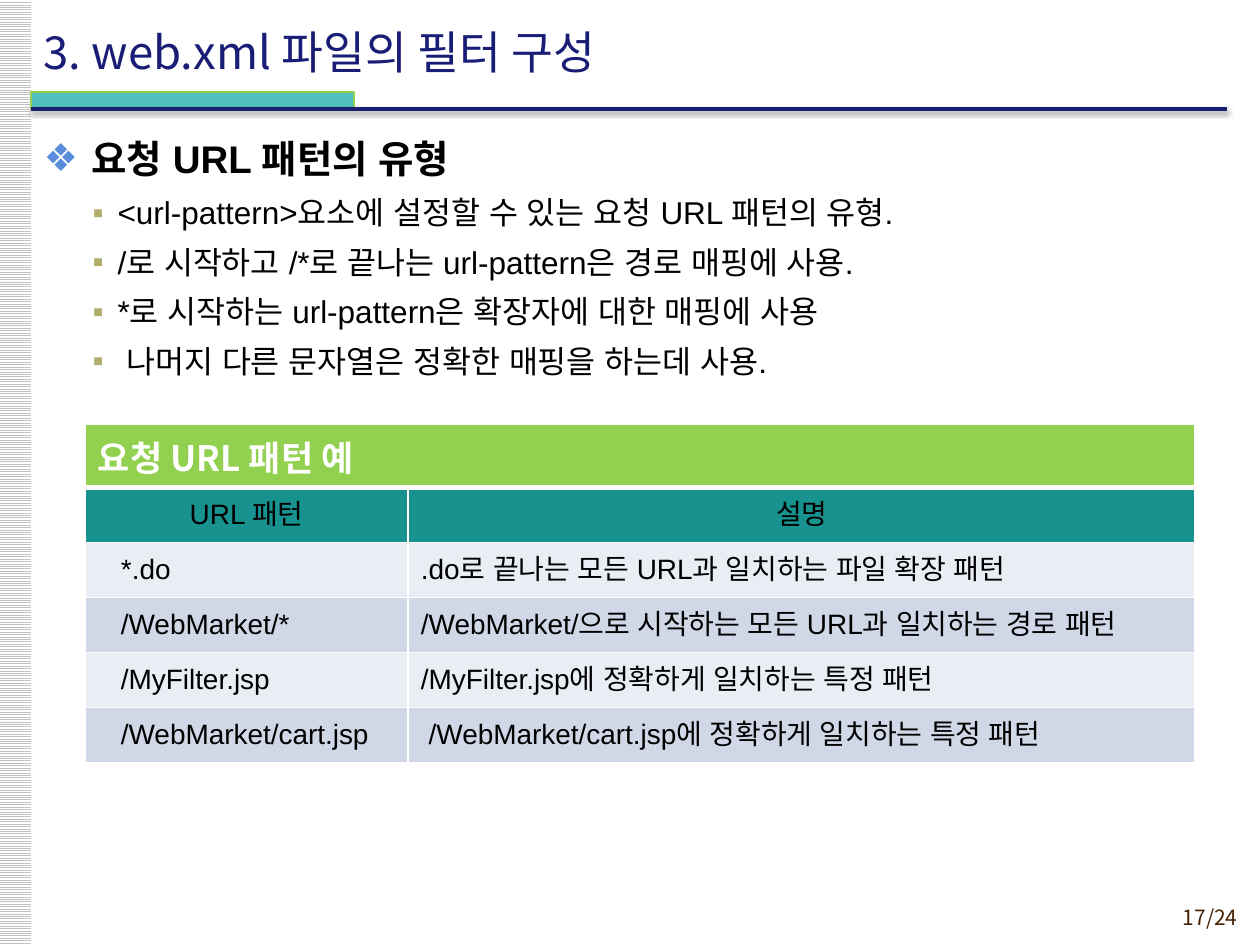
from dataclasses import dataclass

from lxml import etree
from pptx import Presentation
from pptx.dml.color import RGBColor
from pptx.enum.dml import MSO_PATTERN
from pptx.enum.shapes import MSO_CONNECTOR, MSO_SHAPE
from pptx.enum.text import MSO_ANCHOR, MSO_AUTO_SIZE, PP_ALIGN
from pptx.oxml.ns import qn
from pptx.util import Emu, Pt

STRAIGHT = MSO_CONNECTOR.STRAIGHT
RECTANGLE = MSO_SHAPE.RECTANGLE
LIGHT_HORIZONTAL = MSO_PATTERN.LIGHT_HORIZONTAL
TOP, MIDDLE = MSO_ANCHOR.TOP, MSO_ANCHOR.MIDDLE
LEFT, CENTER, RIGHT = PP_ALIGN.LEFT, PP_ALIGN.CENTER, PP_ALIGN.RIGHT
NO_AUTOFIT = MSO_AUTO_SIZE.NONE

PIXELS_PER_INCH = 126
ARIAL = "Arial"
KOREAN = "Noto Sans CJK KR"


@dataclass(frozen=True)
class TextStyle:
    size: int
    font: str = ARIAL
    color: str = "000000"
    bold: bool = False


@dataclass(frozen=True)
class BulletStyle:
    level: int
    text: TextStyle
    character: str
    color: str
    margin: int
    hanging: int
    line_spacing: float


@dataclass(frozen=True)
class UrlRow:
    pattern: str
    description: str
    fill: str


TITLE_STYLE = TextStyle(26, KOREAN, "191D76")
NUMBER_STYLE = TextStyle(12, KOREAN, "452103")
CAPTION_STYLE = TextStyle(20, KOREAN, "FFFFFF", True)
CELL_STYLE = TextStyle(16)
HEADING = BulletStyle(0, TextStyle(22, bold=True), "❖", "5A8DDC", 48, 48, 1.0)
ITEM = BulletStyle(1, TextStyle(18), "▪", "B1AE6B", 74, 25, 1.1)

BODY = [
    (HEADING, "요청 URL 패턴의 유형"),
    (ITEM, "<url-pattern>요소에 설정할 수 있는 요청 URL 패턴의 유형."),
    (ITEM, "/로 시작하고 /*로 끝나는 url-pattern은 경로 매핑에 사용."),
    (ITEM, "*로 시작하는 url-pattern은 확장자에 대한 매핑에 사용"),
    (ITEM, " 나머지 다른 문자열은 정확한 매핑을 하는데 사용."),
]
URL_ROWS = [
    UrlRow("*.do", ".do로 끝나는 모든 URL과 일치하는 파일 확장 패턴", "E9EDF4"),
    UrlRow("/WebMarket/*", "/WebMarket/으로 시작하는 모든 URL과 일치하는 경로 패턴", "D0D8E8"),
    UrlRow("/MyFilter.jsp", "/MyFilter.jsp에 정확하게 일치하는 특정 패턴", "E9EDF4"),
    UrlRow("/WebMarket/cart.jsp", " /WebMarket/cart.jsp에 정확하게 일치하는 특정 패턴", "D0D8E8"),
]


def px(length: int) -> Emu:
    return Emu(round(length * 914400 / PIXELS_PER_INCH))


def rgb(color: str) -> RGBColor:
    return RGBColor.from_string(color)


def add_element(parent, tag: str, **attributes):
    return etree.SubElement(parent, qn(tag), attributes)


def place(shape, left: int, top: int, width: int, height: int) -> None:
    shape.left, shape.top = px(left), px(top)
    shape.width, shape.height = px(width), px(height)


def add_run(paragraph, text: str, style: TextStyle) -> None:
    run = paragraph.add_run()
    run.text = text
    font = run.font
    font.size, font.bold, font.name = Pt(style.size), style.bold, style.font
    font.color.rgb = rgb(style.color)
    add_element(font._element, "a:ea", typeface=style.font)


def add_side_strip(slide) -> None:
    strip = slide.shapes.add_shape(RECTANGLE, px(-1), px(0), px(32), px(945))
    strip.shadow.inherit = False
    strip.fill.patterned()
    strip.fill.pattern = LIGHT_HORIZONTAL
    strip.fill.fore_color.rgb = rgb("C0C0C0")
    strip.fill.back_color.rgb = rgb("FFFFFF")
    strip.line.fill.background()


def add_title_rule(slide) -> None:
    accent = slide.shapes.add_shape(RECTANGLE, px(31), px(92), px(323), px(17))
    accent.shadow.inherit = False
    accent.fill.solid()
    accent.fill.fore_color.rgb = rgb("50C1BE")
    accent.line.color.rgb = rgb("92D050")
    accent.line.width = Pt(0.75)

    rule = slide.shapes.add_connector(STRAIGHT, px(31), px(109), px(1227), px(109))
    rule.line.color.rgb = rgb("191E70")
    rule.line.width = Pt(2)
    effects = add_element(rule._element.spPr, "a:effectLst")
    shadow = add_element(effects, "a:outerShdw", blurRad=str(Pt(3.1)), dist=str(Pt(1.6)),
                         dir="5400000", algn="t", rotWithShape="0")
    shadow_color = add_element(shadow, "a:srgbClr", val="000000")
    add_element(shadow_color, "a:alpha", val="38000")


def add_title(slide) -> None:
    title = slide.shapes.title
    place(title, 31, 11, 1042, 80)
    frame = title.text_frame
    frame.auto_size, frame.vertical_anchor = NO_AUTOFIT, MIDDLE
    paragraph = frame.paragraphs[0]
    paragraph.alignment = LEFT
    add_run(paragraph, "3. web.xml 파일의 필터 구성", TITLE_STYLE)


def add_body(slide) -> None:
    body = slide.placeholders[1]
    place(body, 31, 129, 1197, 787)
    frame = body.text_frame
    frame.auto_size, frame.vertical_anchor = NO_AUTOFIT, TOP
    for index, (style, text) in enumerate(BODY):
        paragraph = frame.add_paragraph() if index else frame.paragraphs[0]
        paragraph.level = style.level
        paragraph.line_spacing = style.line_spacing
        paragraph.space_after = Pt(1)
        if index == 0:
            paragraph.space_before = Pt(0)
        properties = paragraph._p.get_or_add_pPr()
        properties.set("marL", str(px(style.margin)))
        properties.set("indent", str(px(-style.hanging)))
        bullet_color = add_element(properties, "a:buClr")
        add_element(bullet_color, "a:srgbClr", val=style.color)
        add_element(properties, "a:buFont", typeface=ARIAL)
        add_element(properties, "a:buChar", char=style.character)
        add_run(paragraph, text, style.text)


def set_borders(cell, bottom: int) -> None:
    properties = cell._tc.get_or_add_tcPr()
    widths = {"a:lnL": 1, "a:lnR": 1, "a:lnT": 1, "a:lnB": bottom}
    for index, (tag, width) in enumerate(widths.items()):
        border = add_element(properties, tag, w=str(Pt(width)))
        fill = add_element(border, "a:solidFill")
        add_element(fill, "a:srgbClr", val="FFFFFF")
        properties.insert(index, border)


def fill_cell(cell, text: str, fill: str, style: TextStyle = CELL_STYLE,
              alignment=LEFT, anchor=MIDDLE, margin: int = 13, bottom: int = 1) -> None:
    cell.fill.solid()
    cell.fill.fore_color.rgb = rgb(fill)
    cell.vertical_anchor = anchor
    cell.margin_left = px(margin)
    set_borders(cell, bottom)
    paragraph = cell.text_frame.paragraphs[0]
    paragraph.alignment = alignment
    if text:
        add_run(paragraph, text, style)


def add_url_table(slide) -> None:
    row_count = len(URL_ROWS) + 2
    frame = slide.shapes.add_table(row_count, 2, px(85), px(424), px(1110), px(55 * row_count))
    table = frame.table
    for column, width in zip(table.columns, (323, 787)):
        column.width = px(width)
    table.cell(0, 0).merge(table.cell(0, 1))
    for column, text in enumerate(("요청 URL 패턴 예", "")):
        fill_cell(table.cell(0, column), text, "92D050", CAPTION_STYLE, anchor=TOP, bottom=3)
    for column, text in enumerate(("URL 패턴", "설명")):
        fill_cell(table.cell(1, column), text, "17928F", alignment=CENTER)
    for index, row in enumerate(URL_ROWS, start=2):
        fill_cell(table.cell(index, 0), row.pattern, row.fill, margin=36)
        fill_cell(table.cell(index, 1), row.description, row.fill)


def add_page_number(slide) -> None:
    box = slide.shapes.add_textbox(px(1116), px(898), px(134), px(37))
    box.text_frame.word_wrap = True
    paragraph = box.text_frame.paragraphs[0]
    paragraph.alignment = RIGHT
    add_run(paragraph, "17/24", NUMBER_STYLE)


def main() -> None:
    presentation = Presentation()
    presentation.slide_width, presentation.slide_height = px(1260), px(945)
    slide = presentation.slides.add_slide(presentation.slide_layouts[1])
    add_side_strip(slide)
    add_title_rule(slide)
    add_title(slide)
    add_body(slide)
    add_url_table(slide)
    add_page_number(slide)
    presentation.save("out.pptx")


if __name__ == "__main__":
    main()
